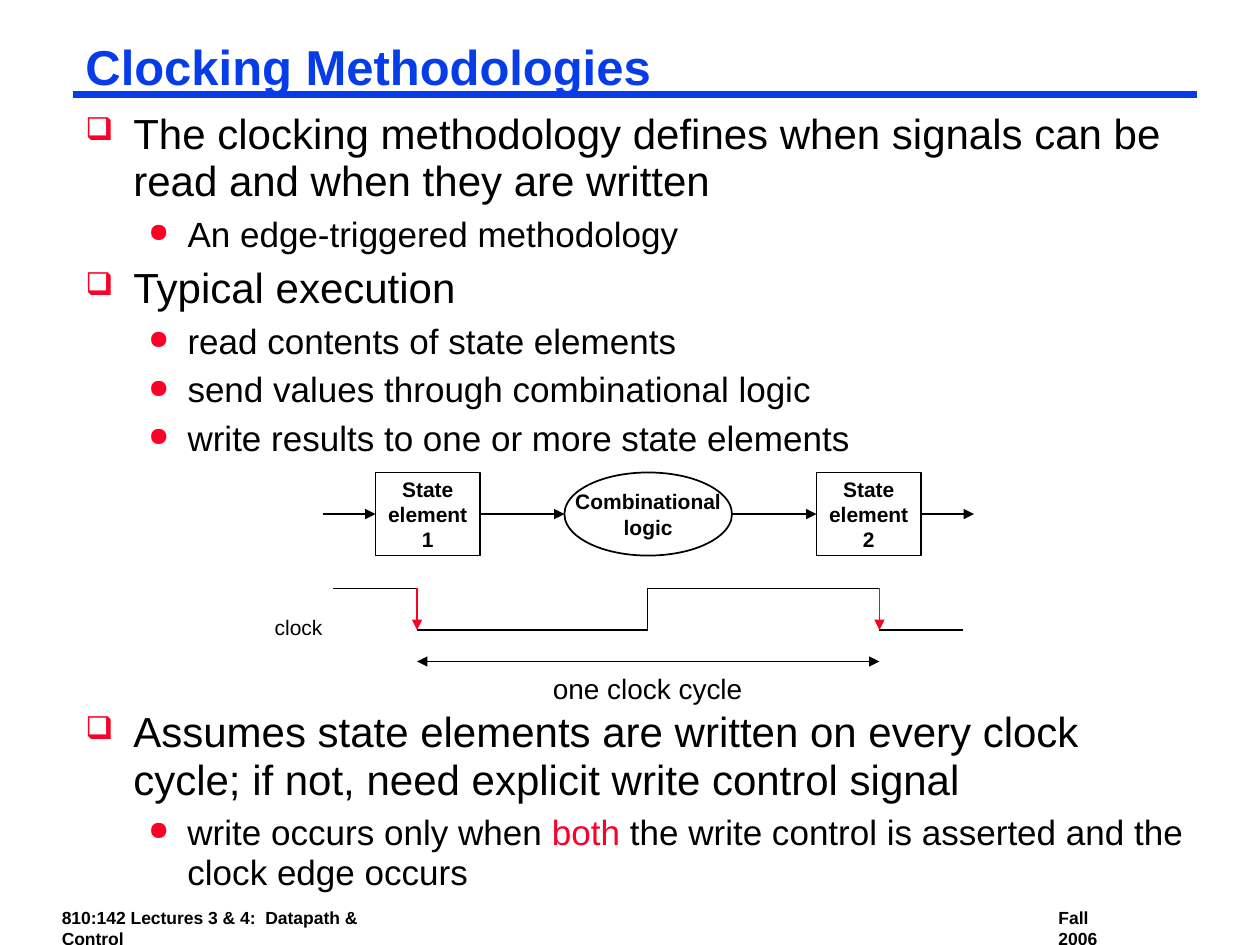
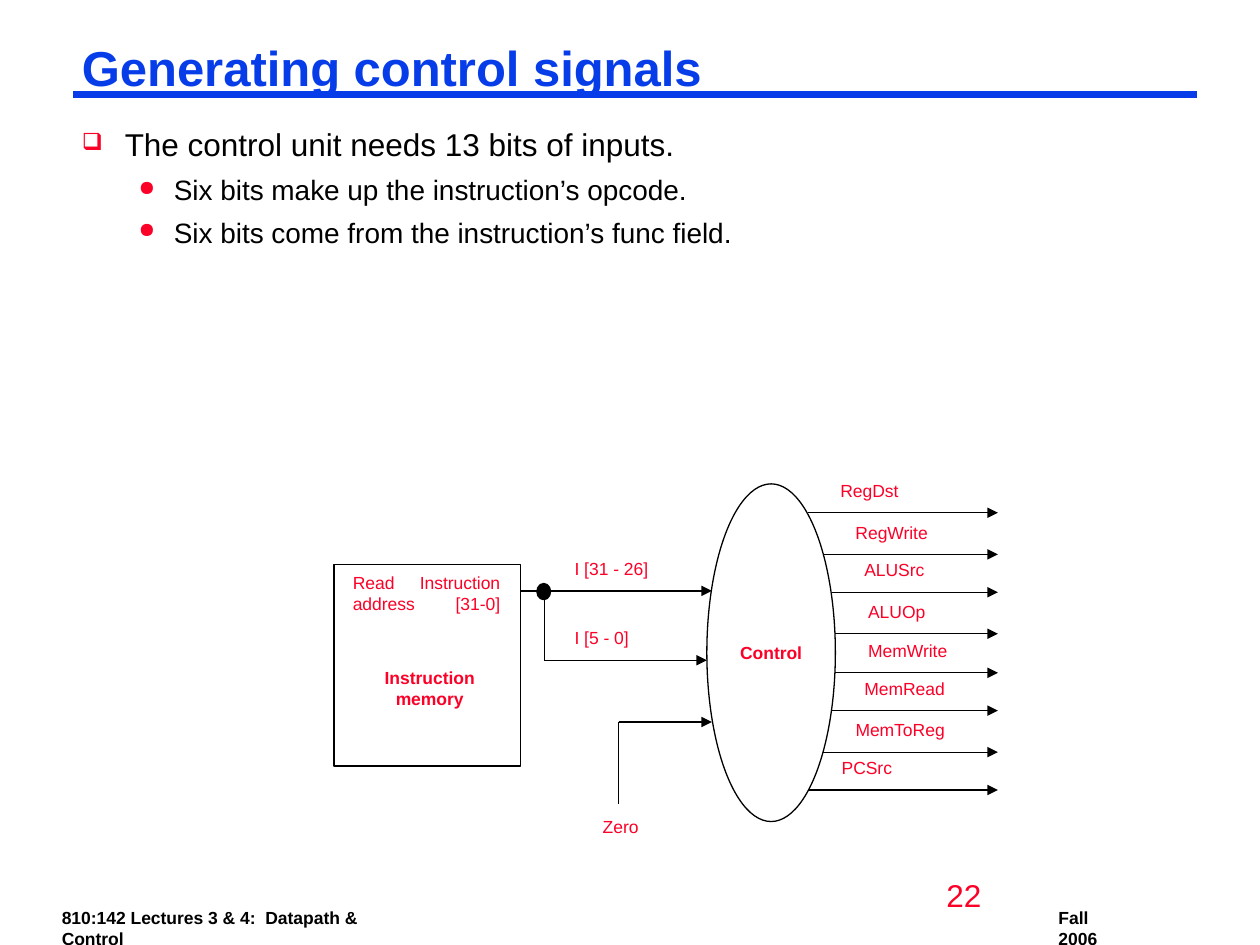
from dataclasses import dataclass
from math import sqrt

from lxml import etree
from pptx import Presentation
from pptx.dml.color import RGBColor
from pptx.enum.shapes import MSO_CONNECTOR, MSO_SHAPE
from pptx.enum.text import MSO_ANCHOR, MSO_AUTO_SIZE, PP_ALIGN
from pptx.oxml.ns import qn
from pptx.util import Pt

PX = 9144
STRAIGHT = MSO_CONNECTOR.STRAIGHT
RECT, OVAL = MSO_SHAPE.RECTANGLE, MSO_SHAPE.OVAL
LEFT, CENTER, RIGHT = PP_ALIGN.LEFT, PP_ALIGN.CENTER, PP_ALIGN.RIGHT
TOP, MIDDLE = MSO_ANCHOR.TOP, MSO_ANCHOR.MIDDLE
FIT = MSO_AUTO_SIZE.SHAPE_TO_FIT_TEXT
RECT_LEFT, RECT_RIGHT = 1, 3


@dataclass(frozen=True)
class Theme:
    """Colours, font and type sizes shared by the slides."""
    font: str = "Arial"
    title: str = "063DE8"
    ink: str = "000000"
    accent: str = "FC0128"
    title_pt: int = 28
    footer_pt: int = 10
    page_pt: int = 18
    state_pt: int = 12
    cycle_pt: int = 16
    signal_pt: int = 10


@dataclass(frozen=True)
class Level:
    """Look of one bullet level."""
    bullet: str
    indent: int
    hang: int
    spacing: float
    before: float
    size: int


T = Theme()
LARGE = (Level("❑", 38, 38, 0.95, 6, 24), Level("●", 81, 31, 0.95, 5, 20))
SMALL = (Level("❑", 34, 34, 0.9, 14.6, 18), Level("●", 73, 28, 0.85, 8, 16))
WIDE, TIGHT, SIGNAL, PAGE = (10, 5), (7, 3), (11, 6), (9, 4)


def rgb(color):
    """Turn a hex string into a colour."""
    return RGBColor.from_string(color)


def add_run(p, words, size, color, bold=False):
    """Add one styled run to a paragraph."""
    r = p.add_run()
    r.text = words
    r.font.name, r.font.size, r.font.bold = T.font, Pt(size), bold
    r.font.color.rgb = rgb(color)


def set_frame(tf, inset, anchor=TOP, wrap=False):
    """Set the margins, anchor and wrapping of a text frame."""
    tf.margin_left = tf.margin_right = inset[0] * PX
    tf.margin_top = tf.margin_bottom = inset[1] * PX
    tf.vertical_anchor, tf.word_wrap = anchor, wrap


def paragraphs(tf, items):
    """Yield each item with a paragraph to hold it."""
    for i, item in enumerate(items):
        yield (tf.add_paragraph() if i else tf.paragraphs[0]), item


def write(tf, lines, size, color, bold=False, align=LEFT):
    """Write plain lines into a text frame."""
    for p, words in paragraphs(tf, lines):
        p.alignment = align
        add_run(p, words, size, color, bold)


def add_text(s, box, lines, size, color, bold=False, align=LEFT,
             inset=WIDE, anchor=TOP, wrap=False):
    """Add a text box and return its frame."""
    tf = s.shapes.add_textbox(*(v * PX for v in box)).text_frame
    set_frame(tf, inset, anchor, wrap)
    tf.auto_size = FIT
    write(tf, lines, size, color, bold, align)
    return tf


def add_outline(s, kind, box, width, fill=None):
    """Add a preset shape with a black outline."""
    sp = s.shapes.add_shape(kind, *(v * PX for v in box))
    sp.shadow.inherit = False
    if fill:
        sp.fill.solid()
        sp.fill.fore_color.rgb = rgb(fill)
    else:
        sp.fill.background()
    sp.line.color.rgb, sp.line.width = rgb(T.ink), Pt(width)
    return sp


def add_line(s, x1, y1, x2, y2, width, color=T.ink, ends=()):
    """Add a straight line with arrowheads at the named ends."""
    c = s.shapes.add_connector(STRAIGHT, *(v * PX for v in (x1, y1, x2, y2)))
    c.line.color.rgb, c.line.width = rgb(color), Pt(width)
    for end in ends:
        etree.SubElement(c.line._get_or_add_ln(), qn(f"a:{end}"), type="triangle")
    etree.SubElement(c._element.spPr, qn("a:effectLst"))
    return c


def add_bullets(s, box, levels, items, inset):
    """Add a bulleted list; every second part of an item is accented."""
    tf = s.shapes.add_textbox(*(v * PX for v in box)).text_frame
    set_frame(tf, inset, wrap=True)
    for p, (depth, *parts) in paragraphs(tf, items):
        level = levels[depth]
        p.level, p.line_spacing, p.space_before = depth, level.spacing, Pt(level.before)
        pPr = p._p.get_or_add_pPr()
        pPr.set("marL", str(level.indent * PX))
        pPr.set("indent", str(-level.hang * PX))
        clr = etree.SubElement(pPr, qn("a:buClr"))
        etree.SubElement(clr, qn("a:srgbClr"), val=T.accent)
        etree.SubElement(pPr, qn("a:buSzPct"), val="75000")
        etree.SubElement(pPr, qn("a:buChar"), char=level.bullet)
        for i, words in enumerate(parts):
            add_run(p, words, level.size, T.accent if i % 2 else T.ink)


def add_base(prs, title, box, inset, anchor):
    """Add a slide with its footers, title rule and title."""
    s = prs.slides.add_slide(prs.slide_layouts[6])
    for x, w, words in ((42, 301, "810:142 Lectures 3 & 4:  Datapath & Control"),
                        (833, 72, "Fall 2006")):
        add_text(s, (x, 717, w, 22), [words], T.footer_pt, T.ink, True, inset=TIGHT)
    add_line(s, 58, 75, 950, 75, 4.5, T.title)
    tf = add_text(s, box, [title], T.title_pt, T.title, True,
                  inset=inset, anchor=anchor, wrap=True)
    tf.paragraphs[0].line_spacing = 0.87
    return s


def add_datapath(s, x, y):
    """Draw two state elements with combinational logic between them."""
    mid = y + 33
    first, logic, second = (
        add_outline(s, kind, (x + dx, y, w, 66), 1)
        for kind, dx, w in ((RECT, 42, 83), (OVAL, 192, 133), (RECT, 392, 83)))
    for sp, lines in ((first, ("State", "element", "1")),
                      (logic, ("Combinational", "logic")),
                      (second, ("State", "element", "2"))):
        set_frame(sp.text_frame, WIDE, MIDDLE)
        write(sp.text_frame, lines, T.state_pt, T.ink, True, CENTER)
    for x1, x2, source, target in ((0, 42, None, first), (125, 192, first, None),
                                   (325, 392, None, second), (475, 517, second, None)):
        c = add_line(s, x + x1, mid, x + x2, mid, 1, ends=["tailEnd"])
        if source:
            c.begin_connect(source, RECT_RIGHT)
        if target:
            c.end_connect(target, RECT_LEFT)


def add_clock(s, x, y):
    """Draw the clock wave and the span of one cycle."""
    low = y + 33
    start, fall, rise, next_fall, stop = (x + dx for dx in (56, 123, 306, 490, 556))
    for x1, x2, level in ((start, fall, y), (fall, rise, low),
                          (rise, next_fall, y), (next_fall, stop, low)):
        add_line(s, x1, level, x2, level, 1)
    add_line(s, rise, y, rise, low, 1)
    for edge in (fall, next_fall):
        add_line(s, edge, y, edge, low, 1, T.accent, ["tailEnd"])
    add_line(s, fall, y + 58, next_fall, y + 58, 1, ends=["headEnd", "tailEnd"])
    add_text(s, (x, y + 16, 58, 30), ["clock"], T.state_pt, T.ink, align=CENTER)
    add_text(s, (x + 221, y + 61, 170, 37), ["one clock cycle"],
             T.cycle_pt, T.ink, align=CENTER)


def add_control(s, x, y):
    """Draw the instruction memory, the control unit and its signals."""
    def label(dx, dy, w, h, *lines, **style):
        add_text(s, (x + dx, y + dy, w, h), lines, T.signal_pt, T.accent,
                 inset=SIGNAL, **style)

    def wire(x1, y1, x2, y2, *ends):
        add_line(s, x + x1, y + y1, x + x2, y + y2, 0.75, ends=ends)

    def half_width(dy):
        return round(51 * sqrt(1 - ((dy - 143) / 134) ** 2))

    center, joint, bus, func, zero = 347, 167, 94, 149, 198
    label(4, 73, 72, 45, "Read", "address")
    label(29, 148, 94, 45, "Instruction", "memory", bold=True, align=CENTER)
    label(57, 73, 86, 45, "Instruction", "[31-0]", align=RIGHT)
    add_outline(s, RECT, (x, y + 73, 148, 160), 0.75)
    control = add_outline(s, OVAL, (x + center - 51, y + 9, 102, 268), 0.75)
    set_frame(control.text_frame, SIGNAL, MIDDLE)
    write(control.text_frame, ["Control"], T.signal_pt, T.accent, True, CENTER)

    for x1, dy in ((148, bus), (joint, func), (226, zero)):
        wire(x1, dy, center - half_width(dy), dy, "tailEnd")
    wire(joint, bus, joint, func)
    wire(226, zero, 226, 263)
    add_outline(s, OVAL, (x + joint - 5, y + bus - 5, 9, 11), 2, T.ink)
    label(joint + 13, bus - 32, 81, 28, "I [31 - 26]")
    label(joint + 13, func - 32, 65, 28, "I [5 - 0]")
    label(202, 267, 51, 28, "Zero", align=CENTER, anchor=MIDDLE)

    for dy, w, name in ((32, 69, "RegDst"), (65, 80, "RegWrite"), (95, 70, "ALUSrc"),
                        (128, 68, "ALUOp"), (159, 85, "MemWrite"), (189, 86, "MemRead"),
                        (222, 95, "MemToReg"), (252, 62, "PCSrc")):
        edge = center + half_width(dy)
        wire(edge, dy, 527, dy, "tailEnd")
        label(edge + 15, dy - 32, w, 28, name)


def clocking_slide(prs):
    """Build the slide on clocking methodologies."""
    s = add_base(prs, "Clocking Methodologies", (58, 31, 892, 50), WIDE, MIDDLE)
    add_bullets(s, (58, 83, 875, 460), LARGE, (
        (0, "The clocking methodology defines when signals can be read and when they are written"),
        (1, "An edge-triggered methodology"),
        (0, "Typical execution"),
        (1, "read contents of state elements"),
        (1, "send values through combinational logic"),
        (1, "write results to one or more state elements")), WIDE)
    add_datapath(s, 256, 375)
    add_clock(s, 208, 467)
    add_bullets(s, (58, 558, 900, 167), LARGE, (
        (0, "Assumes state elements are written on every clock cycle; "
            "if not, need explicit write control signal"),
        (1, "write occurs only when ", "both",
         " the write control is asserted and the clock edge occurs")), WIDE)


def control_slide(prs):
    """Build the slide on generating control signals."""
    s = add_base(prs, "Generating control signals", (58, 33, 892, 46), TIGHT, TOP)
    add_text(s, (742, 691, 208, 50), ["22"], T.page_pt, T.accent, inset=PAGE, wrap=True)
    add_bullets(s, (58, 100, 892, 100), SMALL, (
        (0, "The control unit needs 13 bits of inputs."),
        (1, "Six bits make up the instruction’s opcode."),
        (1, "Six bits come from the instruction’s func field.")), TIGHT)
    add_control(s, 265, 375)


def main():
    """Build and save the presentation."""
    prs = Presentation()
    prs.slide_width, prs.slide_height = 1000 * PX, 750 * PX
    clocking_slide(prs)
    control_slide(prs)
    prs.save("out.pptx")


if __name__ == "__main__":
    main()
